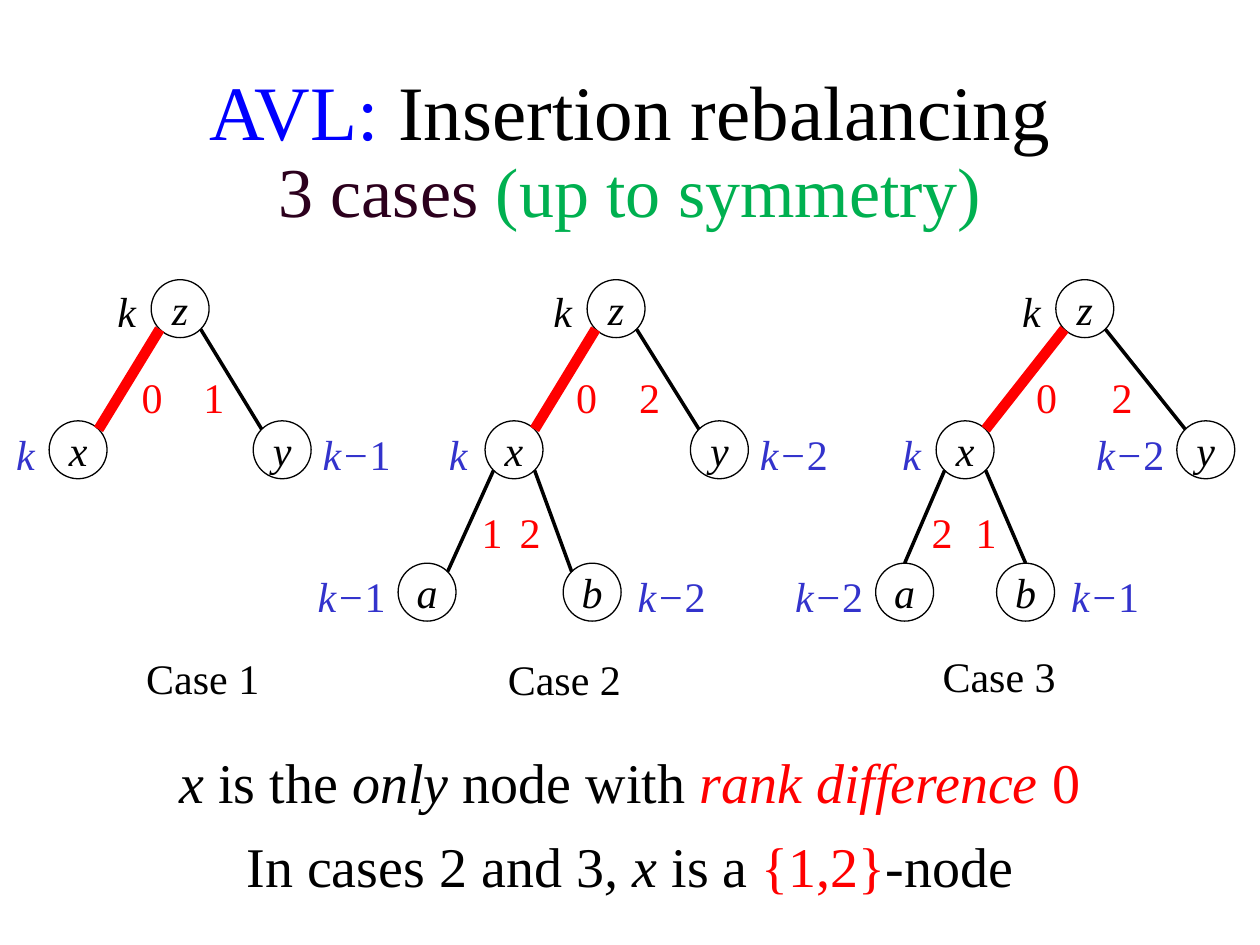
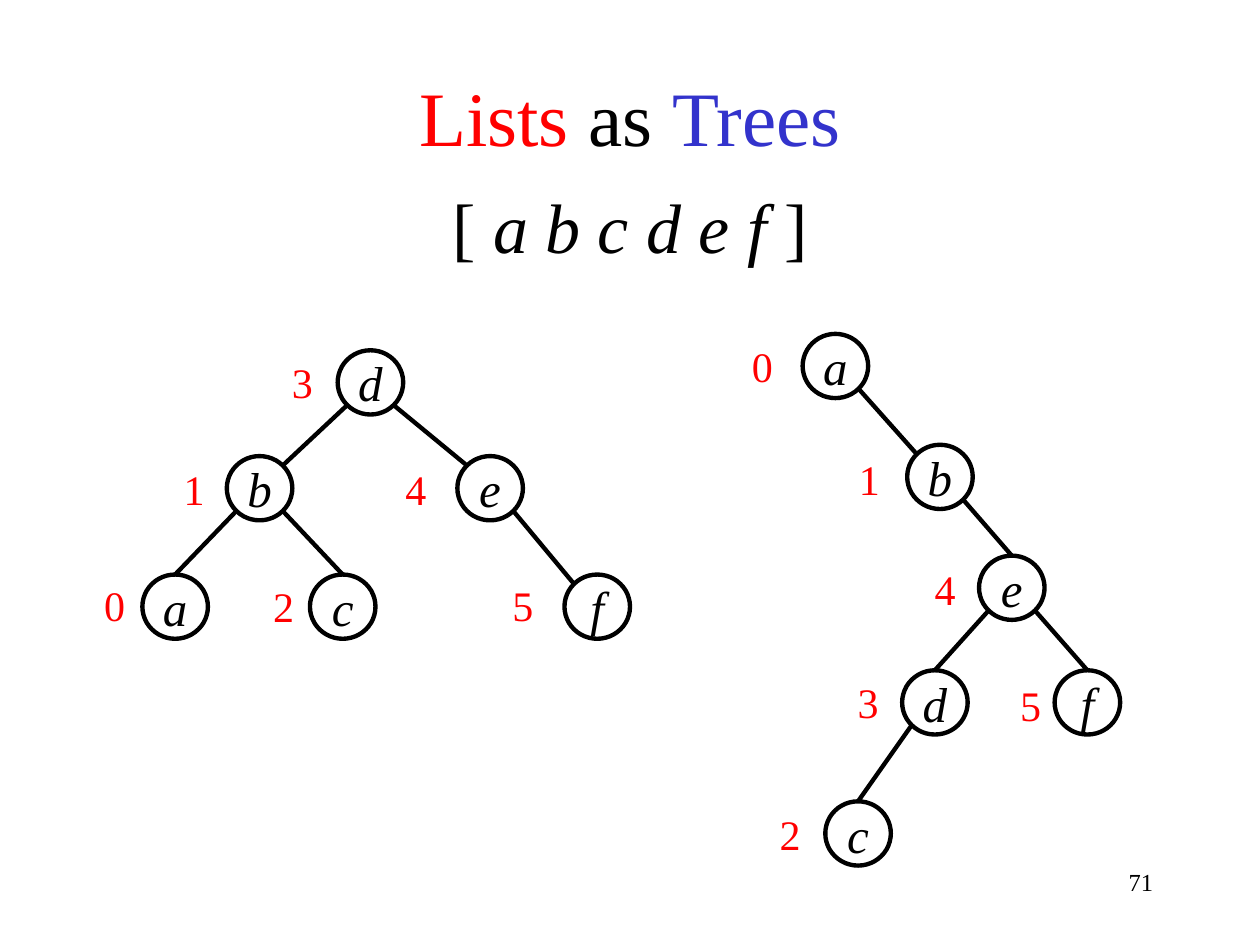
from pptx import Presentation
from pptx.dml.color import RGBColor
from pptx.enum import shapes, text
from pptx.oxml import ns
from pptx.util import Inches, Pt
from lxml import etree

# Shared style
FONT = "Times New Roman"
BLACK, RED, BLUE = "000000", "FF0000", "3333CC"
PURE, PLUM, GREEN = "0000FF", "2C001D", "00B050"
MID, TOP = text.MSO_ANCHOR.MIDDLE, text.MSO_ANCHOR.TOP
DIAG = 0.5 ** 0.5 / 2  # diagonal rim point, as a share of the diameter

# Slide 1: node corners, edges (parent, child, rank difference, label left),
# ranks (text, left, row, colour, width) and caption place for each case
ROWS = (2.22, 3.34, 4.47)
CASES = [
    dict(nodes=dict(z=(1.2, 0), x=(0.39, 1), y=(2.01, 1)),
         edges=[("z", "x", "0", 0.88), ("z", "y", "1", 1.37)],
         ranks=[("k", 0.68, 0, BLACK, 0.57), ("k", -0.06, 1, BLUE, 0.44),
                ("k−1", 2.31, 1, BLUE, 0.96)],
         head=(0.73, 5.13), child="side"),
    dict(nodes=dict(z=(4.66, 0), x=(3.85, 1), y=(5.48, 1),
                    a=(3.16, 2), b=(4.47, 2)),
         edges=[("z", "x", "0", 4.33), ("z", "y", "2", 4.83),
                ("x", "a", "1", 3.58), ("x", "b", "2", 3.88)],
         ranks=[("k", 4.14, 0, BLACK, 0.57), ("k", 3.31, 1, BLUE, 0.57),
                ("k−2", 5.78, 1, BLUE, 0.96), ("k−1", 2.27, 2, BLUE, 0.96),
                ("k−2", 4.81, 2, BLUE, 0.96)],
         head=(3.6, 5.14), child="side"),
    dict(nodes=dict(z=(8.38, 0), x=(7.43, 1), y=(9.34, 1),
                    a=(6.95, 2), b=(7.91, 2)),
         edges=[("z", "x", "0", 7.98), ("z", "y", "2", 8.58),
                ("x", "a", "2", 7.15), ("x", "b", "1", 7.5)],
         ranks=[("k", 7.86, 0, BLACK, 0.57), ("k", 6.91, 1, BLUE, 0.57),
                ("k−2", 8.45, 1, BLUE, 0.96), ("k−2", 6.06, 2, BLUE, 0.96),
                ("k−1", 8.25, 2, BLUE, 0.96)],
         head=(7.05, 5.11), child="top"),
]

# Slide 2: node corner and index label place; edges to a child's side or top
TREES = [
    (dict(d=(2.68, 2.78, 2.14, 2.78), b=(1.8, 3.62, 1.28, 3.63),
          e=(3.63, 3.62, 3.04, 3.63), a=(1.13, 4.56, 0.65, 4.55),
          c=(2.46, 4.56, 1.99, 4.56), f=(4.48, 4.56, 3.89, 4.55)),
     dict(side=("db", "de", "ef"), top=("ba", "bc"))),
    (dict(a=(6.37, 2.65, 5.79, 2.65), b=(7.2, 3.53, 6.64, 3.55),
          e=(7.77, 4.41, 7.24, 4.42), d=(7.16, 5.32, 6.63, 5.32),
          f=(8.37, 5.32, 7.92, 5.34), c=(6.55, 6.36, 6.01, 6.37)),
     dict(side=("ab",), top=("be", "ed", "ef", "dc"))),
]


def rgb(code):
    return RGBColor.from_string(code)


def fill(frame, runs, size=24, align="CENTER", anchor=TOP, wrap=True):
    """Write runs of (text, colour, italic) as one paragraph."""
    frame.word_wrap, frame.vertical_anchor = wrap, anchor
    para = frame.paragraphs[0]
    para.alignment = getattr(text.PP_ALIGN, align)
    for words, color, slant in runs:
        run = para.add_run()
        run.text = words
        font = run.font
        font.name, font.size, font.italic = FONT, Pt(size), slant
        font.color.rgb = rgb(color)


def label(slide, runs, x, y, w, h, **style):
    box = slide.shapes.add_textbox(Inches(x), Inches(y), Inches(w), Inches(h))
    fill(box.text_frame, runs, **style)


def title(slide, runs, y, h):
    label(slide, runs, 0, y, 10, h, size=44, anchor=MID)


def node(slide, name, x, y, w, h, line, size):
    disc = slide.shapes.add_shape(shapes.MSO_SHAPE.OVAL, Inches(x), Inches(y),
                                  Inches(w), Inches(h))
    disc.shadow.inherit = False
    disc.fill.background()
    disc.line.color.rgb, disc.line.width = rgb(BLACK), Pt(line)
    frame = disc.text_frame
    frame.margin_left = frame.margin_right = 0
    frame.margin_top = frame.margin_bottom = 0
    fill(frame, [(name, BLACK, True)], size=size, anchor=MID, wrap=False)


def edge(slide, start, end, w, h, child, line, color=BLACK):
    """Join the lower rim of one node to the side or top of its child."""
    way = 1 if end[0] > start[0] else -1
    x1 = start[0] + w / 2 + way * w * DIAG
    y1 = start[1] + h / 2 + h * DIAG
    x2, y2 = end[0] + w / 2, end[1]
    if child == "side":
        x2, y2 = x2 - way * w * DIAG, y2 + h / 2 - h * DIAG
    link = slide.shapes.add_connector(shapes.MSO_CONNECTOR.STRAIGHT, Inches(x1),
                                      Inches(y1), Inches(x2), Inches(y2))
    link.line.color.rgb, link.line.width = rgb(color), Pt(line)
    etree.SubElement(link._element.spPr, ns.qn("a:effectLst"))


def case(slide, num, nodes, edges, ranks, head, child):
    size = 0.46
    spots = {name: (x, ROWS[row]) for name, (x, row) in nodes.items()}
    for name, spot in spots.items():
        node(slide, name, *spot, size, size, 0.75, 24)
    for upper, lower, gap, x in edges:
        root = upper == "z"
        line, color = (6, RED) if gap == "0" else (2, BLACK)
        edge(slide, spots[upper], spots[lower], size, size,
             "side" if root else child, line, color)
        label(slide, [(" ", RED, True), (gap, RED, False)],
              x, 2.9 if root else 3.97, 0.57, 0.45)
    for rank, x, row, color, w in ranks:
        runs = [(" " + rank[:2], color, True)]
        if rank[2:]:
            runs.append((rank[2:], color, False))
        y = ROWS[row] + (0.01 if row else 0)
        label(slide, runs, x, y, w, 0.45)
    label(slide, [(f"Case {num}", BLACK, False)], *head, 1.76, 0.5)


def tree(slide, nodes, edges):
    w, h = 0.52, 0.51
    for name, (x, y, left, top) in nodes.items():
        node(slide, name, x, y, w, h, 2.5, 28)
        label(slide, [(str("abcdef".index(name)), RED, False)],
              left, top, w, 0.5)
    for child, pairs in edges.items():
        for upper, lower in pairs:
            edge(slide, nodes[upper], nodes[lower], w, h, child, 2.5)


def main():
    deck = Presentation()
    deck.slide_width, deck.slide_height = Inches(10), Inches(7.5)
    blank = deck.slide_layouts[6]

    # Insertion cases
    slide = deck.slides.add_slide(blank)
    title(slide, [("AVL: ", PURE, False),
                  ("Insertion rebalancing", BLACK, False)], 0.36, 1.02)
    label(slide, [("3 cases ", PLUM, False), ("(up to symmetry)", GREEN, False)],
          0, 1.12, 10, 0.77, size=40)
    for num, parts in enumerate(CASES, 1):
        case(slide, num, **parts)
    label(slide, [("x", BLACK, True), (" is the ", BLACK, False),
                  ("only", BLACK, True), (" node with ", BLACK, False),
                  ("rank difference ", RED, True), ("0", RED, False)],
          0, 5.88, 10, 0.64, size=32)
    label(slide, [("In cases 2 and 3", BLACK, False), (", x", BLACK, True),
                  (" is a ", BLACK, False), ("{1,2}", RED, False),
                  ("-node", BLACK, False)], 0, 6.55, 10, 0.64, size=32)

    # Lists as trees
    slide = deck.slides.add_slide(blank)
    title(slide, [("Lists ", RED, False), ("as ", BLACK, False),
                  ("Trees", BLUE, False)], 0.42, 0.99)
    label(slide, [("[ ", BLACK, False), ("a b c d e f ", BLACK, True),
                  ("]", BLACK, False)], 0, 1.41, 10, 0.77, size=40)
    for nodes, edges in TREES:
        tree(slide, nodes, edges)
    label(slide, [("71", BLACK, False)], 7.17, 6.83, 2.08, 0.5,
          size=14, align="RIGHT")

    deck.save("out.pptx")


if __name__ == "__main__":
    main()
